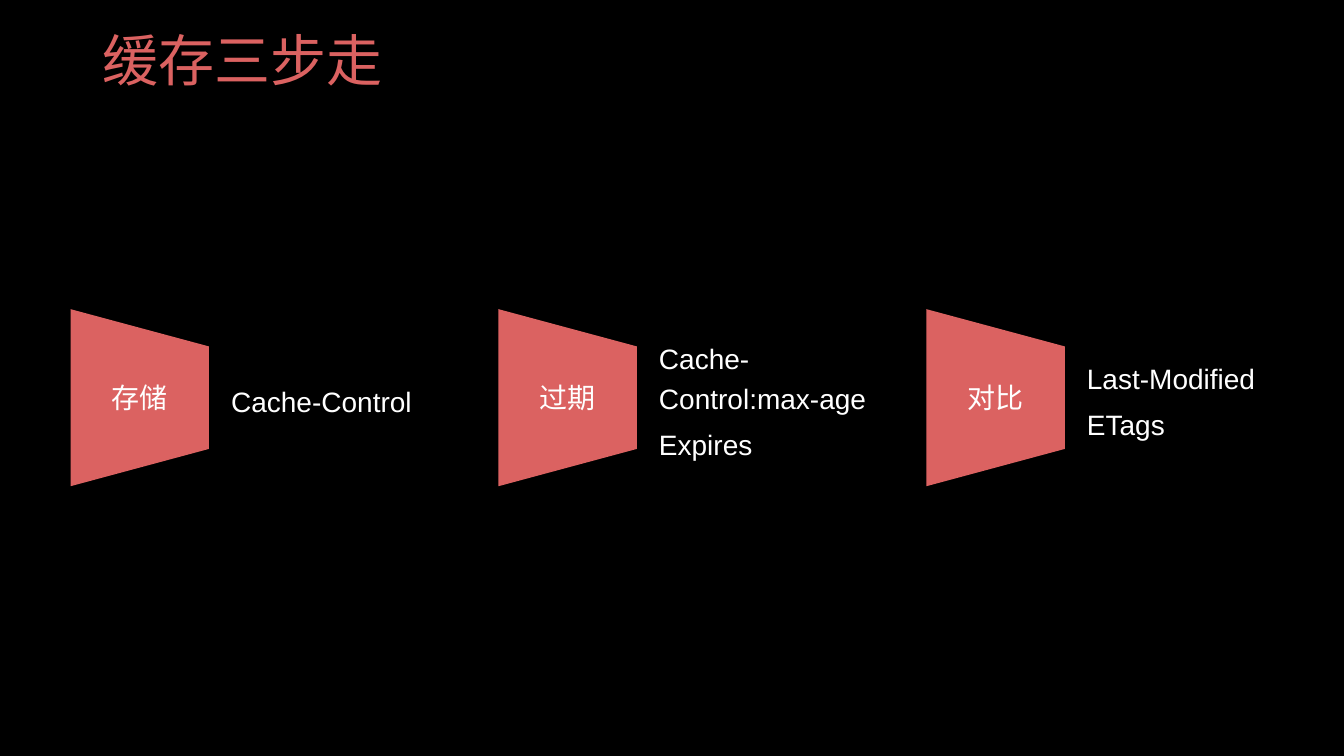
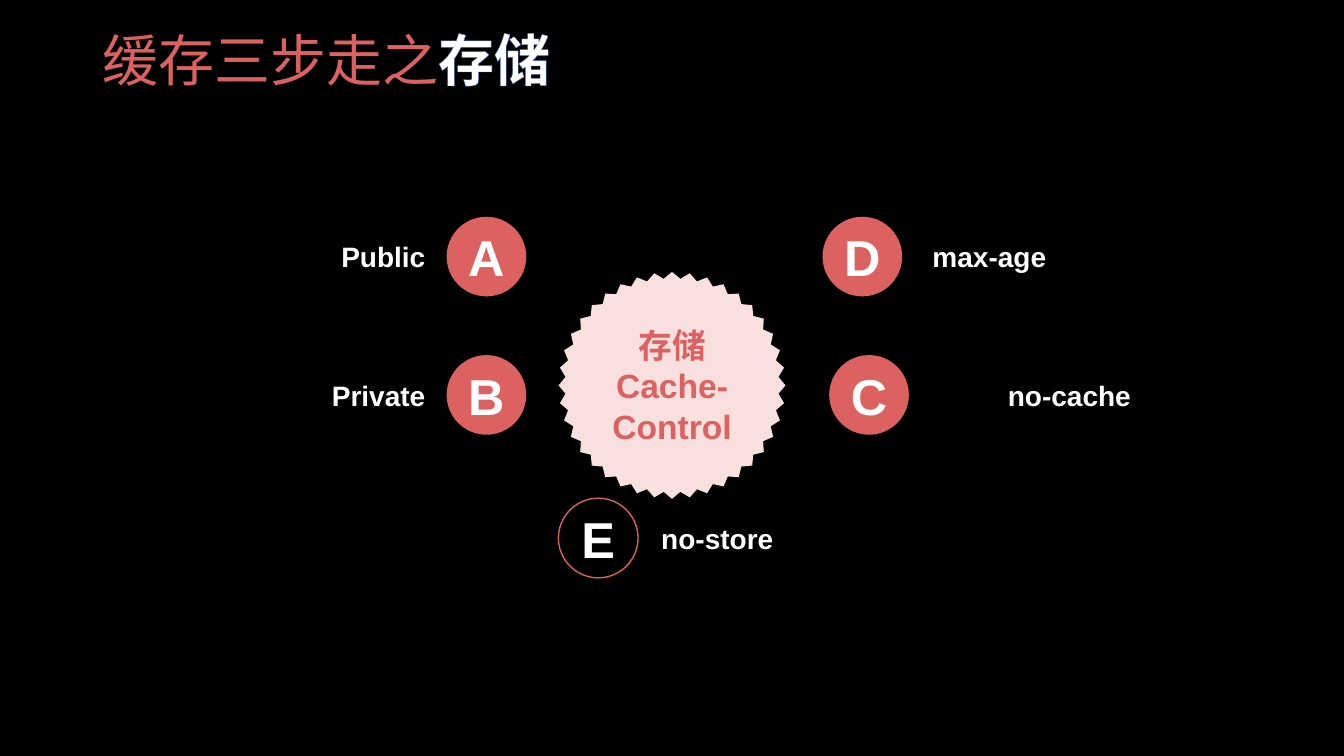
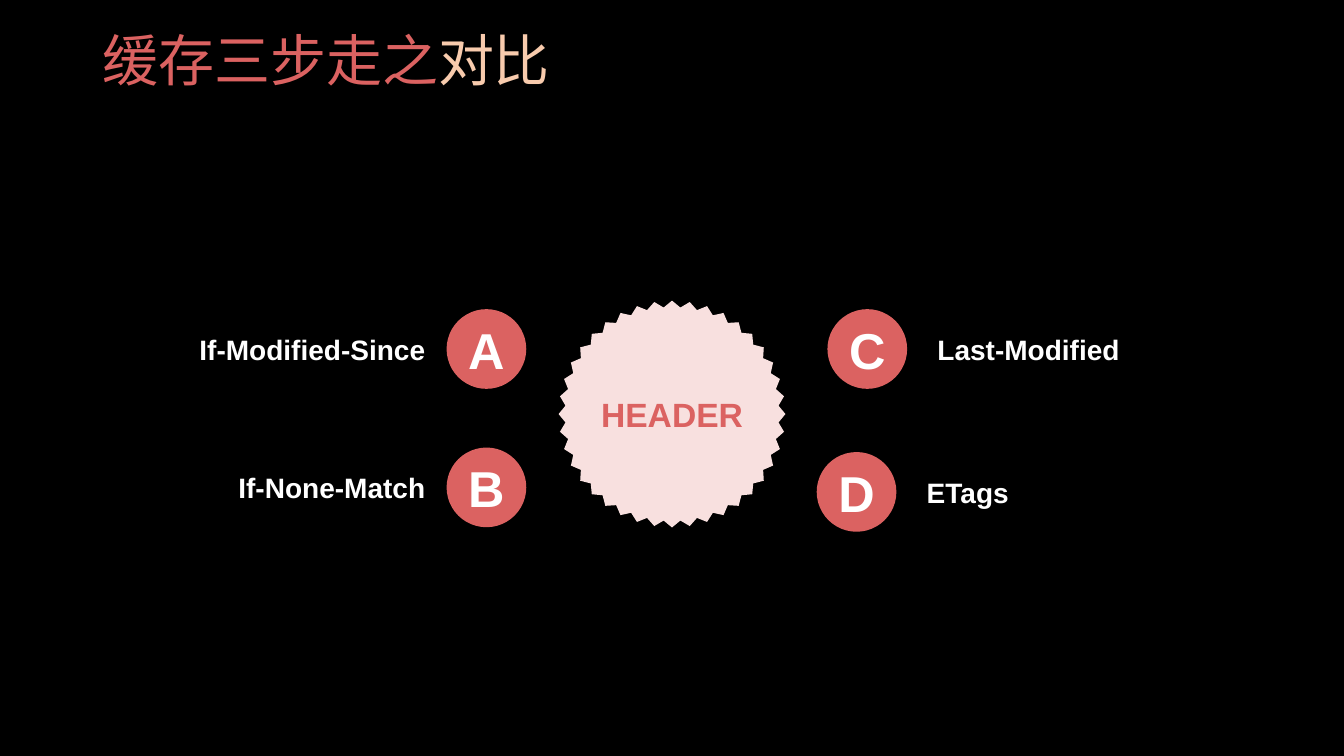
from math import cos, pi, sin

from lxml.etree import SubElement
from pptx import Presentation
from pptx.dml.color import RGBColor
from pptx.enum.shapes import MSO_SHAPE as Preset
from pptx.enum.text import MSO_ANCHOR as Anchor, PP_ALIGN as Align
from pptx.oxml.ns import qn
from pptx.util import Inches, Pt

FONT = "Arial"
BLACK, WHITE = "000000", "FFFFFF"
CORAL, BLUSH, PEACH = "DB6261", "F8E0DF", "F8CBAD"


def paint(fill, colour):
    fill.solid()
    fill.fore_color.rgb = RGBColor.from_string(colour)


def write(shape, lines, size, colour=WHITE, bold=False, align=Align.CENTER,
          inset=True, before=0, spacing=1.0, fill=None):
    """Fill a shape with middle-anchored paragraphs; a fill also clears line and shadow."""
    if fill:
        paint(shape.fill, fill)
        shape.line.fill.background()
        shape.shadow.inherit = False
    frame = shape.text_frame
    frame.text = "\n".join(lines)
    frame.word_wrap = True
    frame.vertical_anchor = Anchor.MIDDLE
    if not inset:
        frame.margin_left = frame.margin_right = frame.margin_top = frame.margin_bottom = 0
    for paragraph in frame.paragraphs:
        paragraph.alignment = align
        paragraph.line_spacing = spacing
        paragraph.space_before = Pt(before)
        for run in paragraph.runs:
            run.font.name = FONT
            run.font.size = Pt(size)
            run.font.bold = bold
            paint(run.font.fill, colour)


deck = Presentation()
deck.slide_width, deck.slide_height = Inches(13.333), Inches(7.5)
paint(deck.slide_master.background.fill, BLACK)

# The grid has 100 columns and 100 rows
COL, ROW = deck.slide_width / 100, deck.slide_height / 100

# Title, then its accent: text, colour, bold, outline colour, outline points
titles = [
    ("缓存三步走", None),
    ("缓存三步走之", ("存储", WHITE, True, "4472C4", 0.8)),
    ("缓存三步走之", ("对比", PEACH, False, "ED7D31", 1.75)),
]
slides = []
for heading, accent in titles:
    slide = deck.slides.add_slide(deck.slide_layouts[6])
    slides.append(slide)
    title = slide.shapes.add_textbox(*map(int, (6.88 * COL, 0.53 * ROW, 86.25 * COL, 15.6 * ROW)))
    write(title, [heading], 40, CORAL, align=Align.LEFT, spacing=0.9)
    if accent:
        words, colour, bold, edge, weight = accent
        run = title.text_frame.paragraphs[0].add_run()
        run.text = words
        run.font.name, run.font.size, run.font.bold = FONT, Pt(40), bold
        paint(run.font.fill, colour)
        properties = run.font.fill._xPr
        outline = SubElement(properties, qn("a:ln"), w=str(Pt(weight)))
        SubElement(SubElement(outline, qn("a:solidFill")), qn("a:srgbClr"), val=edge)
        properties.insert(0, outline)

# Slide 1: three steps, each a tapered block with its headers
STEP_PITCH, STEP_TOP, STEP_HEIGHT = 31.84, 40.9, 23.42
BLOCK_WIDTH, TAPER = 10.3, 4.93
steps = [
    ("存储", ["Cache-Control"]),
    ("过期", ["Cache-Control:max-age", "Expires"]),
    ("对比", ["Last-Modified", "ETags"]),
]
for index, (step, headers) in enumerate(steps):
    left = 5.25 + index * STEP_PITCH
    right, bottom = left + BLOCK_WIDTH, STEP_TOP + STEP_HEIGHT
    corners = [(left, STEP_TOP), (right, STEP_TOP + TAPER), (right, bottom - TAPER), (left, bottom)]
    corners = [(int(x * COL), int(y * ROW)) for x, y in corners]
    outline = slides[0].shapes.build_freeform(*corners[0])
    outline.add_line_segments(corners[1:])
    write(outline.convert_to_shape(), [step], 20, fill=CORAL)
    details = slides[0].shapes.add_textbox(
        *map(int, ((left + 11.94) * COL, STEP_TOP * ROW, 18.15 * COL, STEP_HEIGHT * ROW)))
    write(details, headers, 20, align=Align.LEFT, inset=False, before=4, spacing=1.2)

# Slides 2 and 3: a toothed seal with lettered directives around it
TEETH, OUTER, INNER = 40, 8.44 * COL, 7.95 * COL
BADGE = 5.93 * COL
LABEL_WIDTH = 24.15
seals = [
    (slides[1], 50.97, ["存储", "Cache-Control"]),
    (slides[2], 54.77, ["HEADER"]),
]
for slide, middle, words in seals:
    points = []
    for corner in range(2 * TEETH):
        radius = INNER if corner % 2 else OUTER
        angle = corner * pi / TEETH
        points.append((int(50 * COL + radius * cos(angle)), int(middle * ROW + radius * sin(angle))))
    outline = slide.shapes.build_freeform(*points[0])
    outline.add_line_segments(points[1:])
    write(outline.convert_to_shape(), words, 24, CORAL, bold=True, fill=BLUSH)

# Letter, label, badge column, row, label column, label width, alignment
directives = [
    (slides[1], [
        ("A", "Public", 33.23, 28.67, 7.5, LABEL_WIDTH, Align.RIGHT),
        ("B", "Private", 33.23, 46.97, 7.5, LABEL_WIDTH, Align.RIGHT),
        ("C", "no-cache", 61.7, 46.97, 67.87, 16.28, Align.RIGHT),
        ("D", "max-age", 61.2, 28.67, 69.38, LABEL_WIDTH, Align.LEFT),
        ("E", "no-store", 41.55, 65.9, 49.2, LABEL_WIDTH, Align.LEFT),
    ]),
    (slides[2], [
        ("A", "If-Modified-Since", 33.23, 40.9, 7.5, LABEL_WIDTH, Align.RIGHT),
        ("B", "If-None-Match", 33.23, 59.2, 7.5, LABEL_WIDTH, Align.RIGHT),
        ("C", "Last-Modified", 61.57, 40.9, 69.75, LABEL_WIDTH, Align.LEFT),
        ("D", "ETags", 60.77, 59.8, 68.95, LABEL_WIDTH, Align.LEFT),
    ]),
]
for slide, entries in directives:
    for letter, label, column, row, label_column, label_width, align in entries:
        badge = slide.shapes.add_shape(
            Preset.OVAL, *map(int, (column * COL, row * ROW, BADGE, BADGE)))
        hollow = letter == "E"
        write(badge, [letter], 36, bold=True, fill=BLACK if hollow else CORAL)
        if hollow:
            paint(badge.line.fill, CORAL)
            badge.line.width = Pt(1)
        caption = slide.shapes.add_textbox(
            *map(int, (label_column * COL, row * ROW, label_width * COL, BADGE)))
        write(caption, [label], 20, bold=True, align=align, inset=False, before=4)

deck.save("out.pptx")
